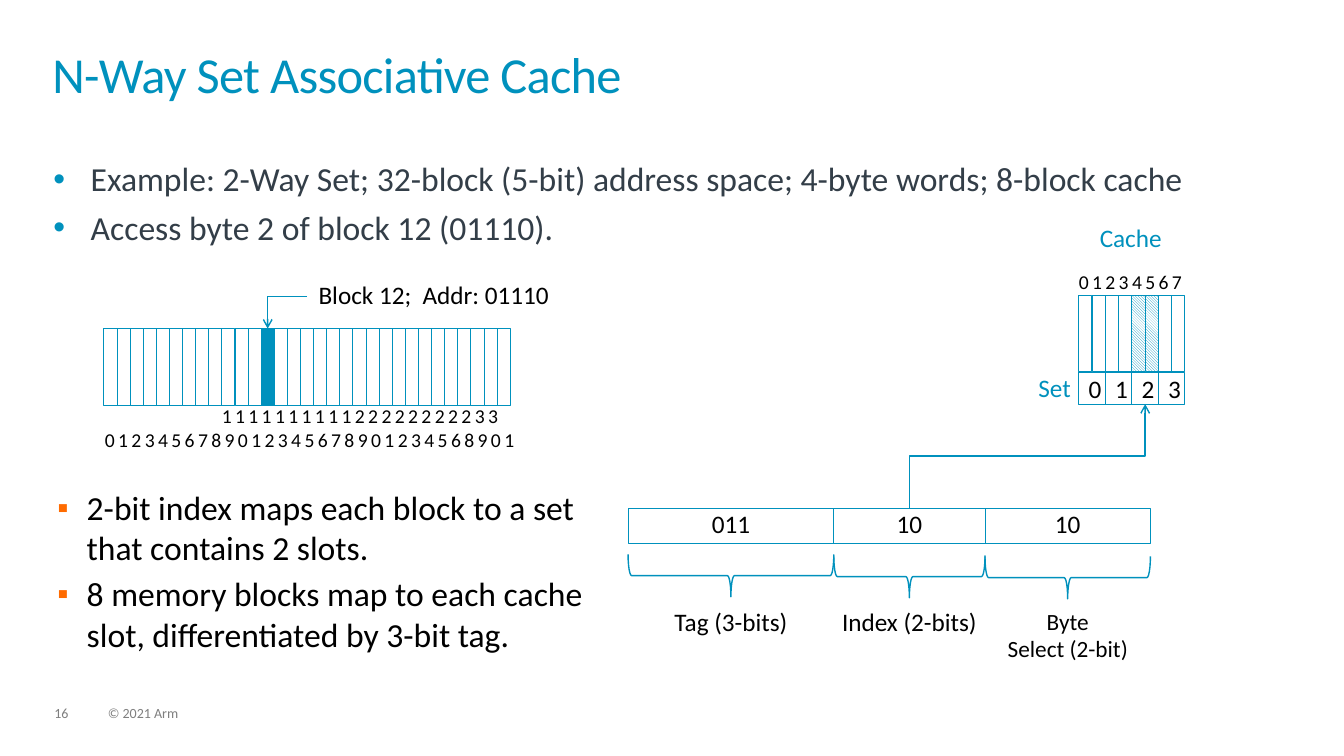
from lxml import etree
from pptx import Presentation
from pptx import util as u
from pptx.dml.color import RGBColor
from pptx.enum import dml, shapes, text
from pptx.oxml import ns

HUES = {"blue": "0091BD", "slate": "333E48", "black": "000000",
        "gray": "7F7F7F", "orange": "FF6B00", "white": "FFFFFF"}
SIDE = {"l": text.PP_ALIGN.LEFT, "c": text.PP_ALIGN.CENTER, "r": text.PP_ALIGN.RIGHT}

TITLE = "N-Way Set Associative Cache"
INTRO = ["Example: 2-Way Set; 32-block (5-bit) address space; 4-byte words; 8-block cache",
         "Access byte 2 of block 12 (01110)."]
NOTES = ["2-bit index maps each block to a set that contains 2 slots.",
         "8 memory blocks map to each cache slot, differentiated by 3-bit tag."]
FOOT = [("16", 0.54, 0.34), ("© 2021 Arm", 1.07, 5.07)]
TENS = "111111111122222222233"
ONES = "0123456789012345678901234568901"
SLOTS = "01234567"
SETS = "0123"
FIELDS = [("011", 2.04, ["Tag (3-bits)"], 18),
          ("10", 1.5, ["Index (2-bits)"], 18),
          ("10", 1.64, ["Byte", "Select (2-bit)"], 16.6)]

CELL, TALL, LOW = 0.13, 0.76, 0.32
MEM = (1.03, 3.26)
CACHE = (10.7, 2.93)
WORD = (6.23, 5.04)
BLOCKS, HIT = 31, 12
HOT = (4, 5)

deck = Presentation()
deck.slide_width, deck.slide_height = u.Inches(13.33), u.Inches(7.5)
slide = deck.slides.add_slide(deck.slide_layouts[6])
parts = slide.shapes


def tint(name):
    return RGBColor.from_string(HUES[name])


def inch(*vals):
    return [u.Inches(v) for v in vals]


def mark(para, sign, hue, size, gap):
    props = para._p.get_or_add_pPr()
    props.set("marL", str(u.Inches(gap)))
    props.set("indent", str(-u.Inches(gap)))
    color = etree.SubElement(props, ns.qn("a:buClr"))
    etree.SubElement(color, ns.qn("a:srgbClr")).set("val", HUES[hue])
    etree.SubElement(props, ns.qn("a:buSzPct")).set("val", str(size * 1000))
    etree.SubElement(props, ns.qn("a:buFont")).set("typeface", "Arial")
    etree.SubElement(props, ns.qn("a:buChar")).set("char", sign)


def write(shape, lines, size=18, hue="black", side="l", space=0, bullet=None,
          lead=None, track=0, pad=0, mid=False):
    frame = shape.text_frame
    anchor = text.MSO_ANCHOR.MIDDLE if mid else text.MSO_ANCHOR.TOP
    for key, val in {"word_wrap": True, "margin_left": u.Inches(pad), "margin_right": 0,
                     "margin_top": 0, "margin_bottom": 0, "vertical_anchor": anchor}.items():
        setattr(frame, key, val)
    for i, line in enumerate(lines):
        para = frame.paragraphs[0] if i == 0 else frame.add_paragraph()
        if bullet:
            mark(para, *bullet)
        para.alignment = SIDE[side]
        if i and space:
            para.space_before = u.Pt(space)
        if lead:
            para.line_spacing = lead
        run = para.add_run()
        run.text = line
        for key, val in {"name": "Calibri", "size": u.Pt(size), "bold": False}.items():
            setattr(run.font, key, val)
        run.font.color.rgb = tint(hue)
        if track:
            run._r.get_or_add_rPr().set("spc", str(int(track * 100)))
    return frame


def label(x, y, w, h, lines, **form):
    return write(parts.add_textbox(*inch(x, y, w, h)), lines, **form)


def box(x, y, w, h, kind=shapes.MSO_SHAPE.RECTANGLE, line=0.5):
    shape = parts.add_shape(kind, *inch(x, y, w, h))
    shape.shadow.inherit = False
    shape.fill.background()
    shape.line.color.rgb = tint("blue")
    shape.line.width = u.Pt(line)
    return shape


def bend(start, end, turn, geom):
    a, b = complex(*start), complex(*end)
    mid = (a + b) / 2
    a, b = [mid + (p - mid) / 1j ** turn for p in (a, b)]
    wire = parts.add_connector(shapes.MSO_CONNECTOR.ELBOW,
                               *inch(a.real, a.imag, b.real, b.imag))
    wire.line.color.rgb = tint("blue")
    wire.line.width = u.Pt(1)
    props = wire._element.spPr
    props.find(ns.qn("a:xfrm")).set("rot", str(turn * 5400000))
    props.find(ns.qn("a:prstGeom")).set("prst", geom)
    etree.SubElement(props.find(ns.qn("a:ln")), ns.qn("a:tailEnd")).set("type", "arrow")
    etree.SubElement(props, ns.qn("a:effectLst"))


for line, x, w in FOOT:
    label(x, 7.01, w, 0.15, [line], size=10, hue="gray", lead=0.9)
label(0.52, 0.52, 12.28, 0.72, [TITLE], size=36, hue="blue", lead=0.85, track=-0.5)
label(0.53, 1.57, 12.2, 0.95, INTRO, size=24, hue="slate", space=6,
      bullet=("•", "blue", 100, 0.37))
label(0.57, 4.83, 5.45, 1.85, NOTES, size=24, space=4,
      bullet=("▪", "orange", 95, 0.29))

left, top = MEM
for i in range(BLOCKS):
    cell = box(left + i * CELL, top, CELL, TALL)
    if i == HIT:
        cell.fill.solid()
        cell.fill.fore_color.rgb = tint("blue")
digits = label(left + 0.01, top + TALL - 0.01, 4.4, 0.5, [TENS, ONES], size=14, track=2.4)
digits.paragraphs[0]._p.get_or_add_pPr().set("marL", str(u.Inches(1.16)))
spot = left + (HIT + 0.5) * CELL
bend((spot + 3 * CELL, top - LOW), (spot, top), 2, "bentConnector2")
label(3.16, 2.77, 2.5, LOW, ["Block 12;  Addr: 01110"])

left, top = CACHE
step = CELL + 0.0015
for i in range(len(SLOTS)):
    cell = box(left + i * step, top, CELL, TALL)
    if i in HOT:
        cell.fill.patterned()
        cell.fill.pattern = dml.MSO_PATTERN.LIGHT_DOWNWARD_DIAGONAL
        cell.fill.fore_color.rgb = tint("blue")
        cell.fill.back_color.rgb = tint("white")
for i, name in enumerate(SETS):
    write(box(left + i * 2 * step, top + TALL, 2 * CELL, LOW), [name],
          side="c", pad=0.06, mid=True)
label(left, top - 0.25, 1.3, 0.25, [SLOTS], size=14, track=2.4)
label(10.51, 2.21, 1.41, LOW, ["Cache"], hue="blue", side="c")
label(10.06, top + TALL, 0.56, LOW, ["Set"], hue="blue", side="r")

x, top = WORD
for i, (bits, wide, names, size) in enumerate(FIELDS):
    write(box(x, top, wide, 0.35), [bits], side="c")
    mid, deep = x + wide / 2, 0.42
    brace = box(mid - deep / 2, 5.71 + i * 0.01 - wide / 2, deep, wide,
                shapes.MSO_SHAPE.LEFT_BRACE, 1)
    brace.rotation = 270
    label(x, 6.02, wide, 0.5, names, size=size, side="c")
    if i == 1:
        bend((mid, top), (left + 5 * step, CACHE[1] + TALL + LOW), 1, "bentConnector3")
    x += wide

deck.save("out.pptx")
